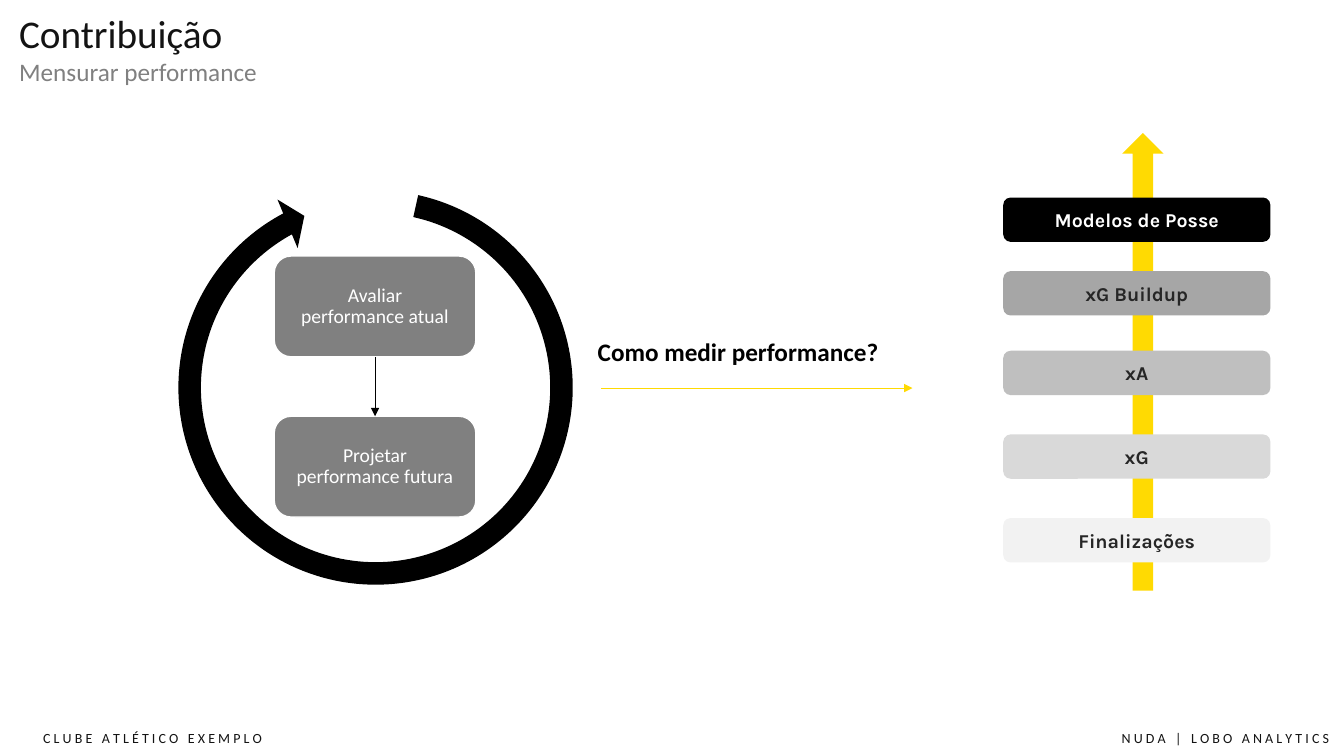
from lxml import etree
from pptx import Presentation
from pptx.dml.color import RGBColor
from pptx.enum.shapes import MSO_CONNECTOR, MSO_SHAPE
from pptx.enum.text import MSO_ANCHOR, MSO_AUTO_SIZE, PP_ALIGN
from pptx.oxml.ns import qn
from pptx.util import Inches, Pt

STRAIGHT = MSO_CONNECTOR.STRAIGHT
UP_ARROW = MSO_SHAPE.UP_ARROW
CIRCULAR_ARROW = MSO_SHAPE.CIRCULAR_ARROW
ROUNDED = MSO_SHAPE.ROUNDED_RECTANGLE
TOP, MIDDLE = MSO_ANCHOR.TOP, MSO_ANCHOR.MIDDLE
LEFT, CENTER, RIGHT = PP_ALIGN.LEFT, PP_ALIGN.CENTER, PP_ALIGN.RIGHT
NO_FIT = MSO_AUTO_SIZE.NONE

HEADING = ["Contribuição", "Mensurar performance"]
QUESTION = "Como medir performance?"
CYCLE_STEPS = ["Avaliar performance atual", "Projetar performance futura"]
METRICS = [
    ("Modelos de Posse", 1.96, "000000", "white"),
    ("xG Buildup", 2.69, "A6A6A6", "charcoal"),
    ("xA", 3.48, "BFBFBF", "charcoal"),
    ("xG", 4.31, "D9D9D9", "charcoal"),
    ("Finalizações", 5.14, "F2F2F2", "charcoal"),
]
FOOTERS = [
    ("CLUBE ATLÉTICO EXEMPLO", (0.33, 7.19, 3, 0.27), LEFT),
    ("NUDA | LOBO ANALYTICS", (7.83, 7.19, 5.45, 0.27), RIGHT),
]

THEME = {
    "colors": {
        "ink": "131313",
        "black": "000000",
        "white": "FFFFFF",
        "gray": "808080",
        "charcoal": "262626",
        "yellow": "FFDA02",
    },
    "text": {
        "title": {"name": "Calibri", "size": Pt(28), "bold": False},
        "subtitle": {"name": "Calibri", "size": Pt(18), "bold": False},
        "question": {"name": "Calibri", "size": Pt(18), "bold": True},
        "step": {"name": "Calibri", "size": Pt(14), "bold": False},
        "metric": {"name": "Karla", "size": Pt(14), "bold": True},
        "footer": {"name": "Calibri", "size": Pt(10), "bold": False},
    },
}
COLORS = THEME["colors"]

STEP_LEFT, STEP_TOP, STEP_WIDTH, STEP_HEIGHT, STEP_PITCH = 2.72, 2.54, 2, 1, 1.59
METRIC_LEFT, METRIC_WIDTH, METRIC_HEIGHT = 9.95, 2.65, 0.44
CYCLE_PERCENTS = (5.3, 343.9, 14504.6, 16949, 6.2)


def assign(target, values):
    for key, value in values.items():
        setattr(target, key, value)


def place(box):
    return [Inches(length) for length in box]


def write(paragraph, words, style, color, **layout):
    run = paragraph.add_run()
    run.text = words
    assign(run.font, THEME["text"][style])
    run.font.color.rgb = RGBColor.from_string(color)
    assign(paragraph, layout)


def add_block(slide, preset, box, fill, outline=None):
    block = slide.shapes.add_shape(preset, *place(box))
    block.shadow.inherit = False
    block.fill.solid()
    block.fill.fore_color.rgb = RGBColor.from_string(fill)
    if outline:
        block.line.color.rgb = RGBColor.from_string(outline)
        block.line.width = Pt(1)
    else:
        block.line.fill.background()
    assign(block.text_frame, {"word_wrap": True, "vertical_anchor": MIDDLE})
    return block


def add_label(slide, box, words, style, color, **layout):
    label = slide.shapes.add_textbox(*place(box))
    label.text_frame.word_wrap = True
    write(label.text_frame.paragraphs[0], words, style, color, **layout)


def add_arrow(slide, start, end, color):
    arrow = slide.shapes.add_connector(STRAIGHT, *place(start + end))
    arrow.line.color.rgb = RGBColor.from_string(color)
    arrow.line.width = Pt(0.5)
    properties = arrow.element.spPr
    etree.SubElement(properties.find(qn("a:ln")), qn("a:tailEnd"), type="triangle")
    etree.SubElement(properties, qn("a:effectLst"))


def add_heading(slide):
    title = slide.shapes.title
    left, top, width, height = place((0.09, 0.04, 13.2, 0.88))
    assign(title, {"left": left, "top": top, "width": width, "height": height})
    frame = title.text_frame
    assign(frame, {"vertical_anchor": TOP, "auto_size": NO_FIT, "word_wrap": True})
    main, sub = HEADING
    write(frame.paragraphs[0], main, "title", COLORS["ink"], alignment=LEFT)
    write(frame.add_paragraph(), sub, "subtitle", COLORS["gray"], alignment=LEFT)


def add_cycle(slide):
    cycle = add_block(slide, CIRCULAR_ARROW, (1.62, 1.74, 4.21, 4.21), COLORS["black"])
    for index, percent in enumerate(CYCLE_PERCENTS):
        cycle.adjustments[index] = percent / 100
    margins = {f"margin_{side}": Inches(0.16) for side in ("left", "right", "top", "bottom")}
    for index, words in enumerate(CYCLE_STEPS):
        box = (STEP_LEFT, STEP_TOP + index * STEP_PITCH, STEP_WIDTH, STEP_HEIGHT)
        step = add_block(slide, ROUNDED, box, COLORS["gray"], COLORS["white"])
        assign(step.text_frame, margins)
        write(step.text_frame.paragraphs[0], words, "step", COLORS["white"],
              alignment=CENTER, line_spacing=0.9)
    middle = STEP_LEFT + STEP_WIDTH / 2
    add_arrow(slide, (middle, STEP_TOP + STEP_HEIGHT),
              (middle, STEP_TOP + STEP_PITCH), COLORS["black"])


def add_metrics(slide):
    add_block(slide, UP_ARROW, (11.13, 1.32, 0.41, 4.54), COLORS["yellow"])
    for words, top, fill, ink in METRICS:
        box = (METRIC_LEFT, top, METRIC_WIDTH, METRIC_HEIGHT)
        metric = add_block(slide, ROUNDED, box, fill)
        write(metric.text_frame.paragraphs[0], words, "metric", COLORS[ink], alignment=CENTER)


def main():
    deck = Presentation()
    assign(deck, {"slide_width": Inches(13.33), "slide_height": Inches(7.5)})
    slide = deck.slides.add_slide(deck.slide_layouts[5])
    add_heading(slide)
    add_cycle(slide)
    add_arrow(slide, (5.96, 3.85), (9.05, 3.85), COLORS["yellow"])
    add_label(slide, (5.83, 3.14, 3.01, 0.51), QUESTION, "question",
              COLORS["black"], line_spacing=1.5)
    add_metrics(slide)
    for words, box, side in FOOTERS:
        add_label(slide, box, " ".join(words), "footer", COLORS["ink"], alignment=side)
    deck.save("out.pptx")


if __name__ == "__main__":
    main()
